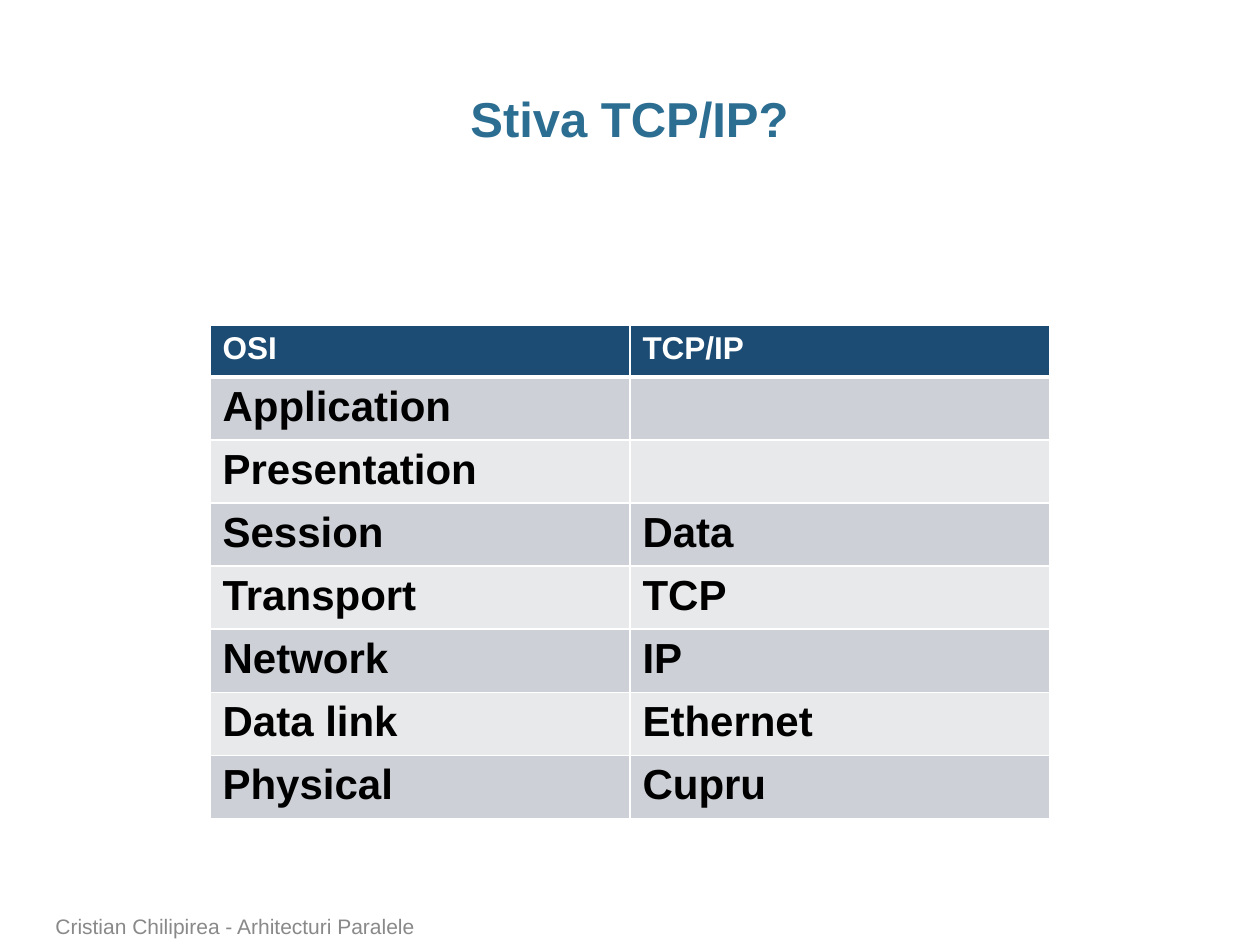
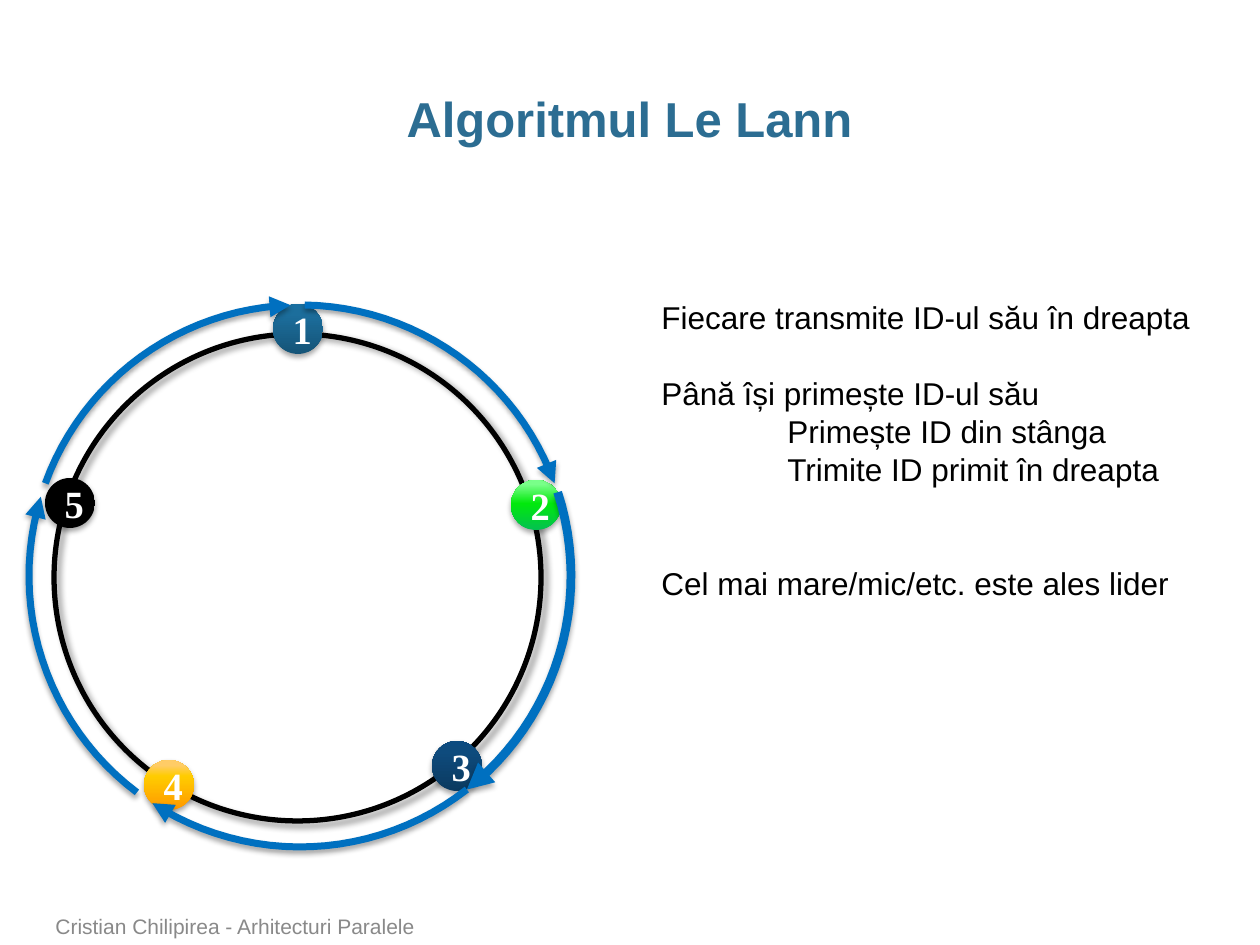
from math import cos, radians, sin

from lxml.etree import SubElement
from pptx import Presentation
from pptx.dml.color import RGBColor
from pptx.enum.shapes import MSO_SHAPE as SHAPE
from pptx.enum.text import MSO_ANCHOR as ANCHOR, MSO_AUTO_SIZE as AUTO, PP_ALIGN as ALIGN
from pptx.oxml.ns import qn
from pptx.util import Pt

PX = 914400 / 126
TITLE_ONLY = 5
COLORS = {
    "title": "2C6D92", "footer": "898989", "text": "000000", "white": "FFFFFF",
    "header": "1C4C74", "odd": "CDD0D6", "even": "E8E9EB",
    "ring": "000000", "arrow": "0070C0", "shadow": "000000",
}
FORMATS = {
    "title": dict(name="Arial", size=Pt(28), bold=True, color="title"),
    "footer": dict(name="Arial", size=Pt(12), color="footer"),
    "body": dict(name="Arial", size=Pt(18), color="text"),
    "header": dict(name="Arial", size=Pt(18), bold=True, color="white"),
    "cell": dict(name="Arial", size=Pt(24), bold=True, color="text"),
    "node": dict(name="Times New Roman", size=Pt(22), bold=True, color="white"),
}
# opacity %, blur pt, distance pt, direction in degrees
RING_SHADOW = (40, 4, 3, 45)
SOFT_SHADOW = (35, 3.1, 1.8, 90)

LAYERS = [
    ("OSI", "TCP/IP"),
    ("Application", ""),
    ("Presentation", ""),
    ("Session", "Data"),
    ("Transport", "TCP"),
    ("Network", "IP"),
    ("Data link", "Ethernet"),
    ("Physical", "Cupru"),
]
# label, left, top, gradient stops from bottom to top
NODES = [
    ("3", 432, 741, [(0, "0B3A60"), (80, "0E4B7D"), (100, "0C4B80")]),
    ("1", 273, 304, [(0, "155478"), (80, "1C6E9C"), (100, "196FA0")]),
    ("2", 511, 480, [(0, "03C150"), (53, "01E90C"), (91, "79FF89")]),
    ("4", 144, 760, [(0, "FF9900"), (68, "FFCC00"), (89, "FFCC66")]),
    ("5", 45, 478, [(0, "000000"), (100, "000000")]),
]
# start and end in degrees clockwise from the top, line width in points
HOPS = [(72, 142, 5), (1, 70, 4), (142, 213, 4), (217, 287, 4), (290, 358, 4)]
# text, indent in px, space before in points
STEPS = [
    ("Fiecare transmite ID-ul său în dreapta", 0, 0),
    ("Până își primește ID-ul său", 0, 21.7),
    ("Primește ID din stânga", 126, 0),
    ("Trimite ID primit în dreapta", 126, 0),
    ("Cel mai mare/mic/etc. este ales lider", 0, 43.4),
]


def emu(*lengths):
    return [round(n * PX) for n in lengths]


def rgb(key):
    return RGBColor.from_string(COLORS[key])


def set_font(font, style):
    for key, value in FORMATS[style].items():
        if key == "color":
            font.color.rgb = rgb(value)
        else:
            setattr(font, key, value)


def set_frame(tf, **values):
    for key, value in values.items():
        setattr(tf, key, value)


def add_color(parent, color):
    return SubElement(parent, qn("a:srgbClr"), val=color)


def add_shadow(sp, opacity, blur, distance, direction):
    sp.shadow.inherit = False
    effects = sp._element.spPr.find(qn("a:effectLst"))
    outer = SubElement(effects, qn("a:outerShdw"), blurRad=str(Pt(blur)), dist=str(Pt(distance)),
                       dir=str(direction * 60000), rotWithShape="0")
    SubElement(add_color(outer, COLORS["shadow"]), qn("a:alpha"), val=str(opacity * 1000))


def set_gradient(sp, stops):
    sp.fill.gradient()
    sp.fill.gradient_angle = 90
    gs_list = sp._element.spPr.find(qn("a:gradFill")).find(qn("a:gsLst"))
    for old in list(gs_list):
        gs_list.remove(old)
    for position, color in stops:
        add_color(SubElement(gs_list, qn("a:gs"), pos=str(position * 1000)), color)


def set_line(sp, color, width):
    sp.line.color.rgb = rgb(color)
    sp.line.width = Pt(width)


def add_title(slide, text):
    title = slide.shapes.title
    title.left, title.top, title.width, title.height = emu(43, 86, 1173, 63)
    tf = title.text_frame
    set_frame(tf, margin_left=0, margin_right=0, vertical_anchor=ANCHOR.TOP,
              auto_size=AUTO.NONE, word_wrap=True)
    p = tf.paragraphs[0]
    p.alignment, p.line_spacing = ALIGN.CENTER, 0.95
    r = p.add_run()
    r.text = text
    set_font(r.font, "title")


def add_footer(slide):
    tf = slide.shapes.add_textbox(*emu(43, 910, 929, 35)).text_frame
    set_frame(tf, word_wrap=True, vertical_anchor=ANCHOR.BOTTOM)
    r = tf.paragraphs[0].add_run()
    r.text = "Cristian Chilipirea - Arhitecturi Paralele"
    set_font(r.font, "footer")


def add_slide(prs, title):
    slide = prs.slides.add_slide(prs.slide_layouts[TITLE_ONLY])
    add_title(slide, title)
    add_footer(slide)
    return slide


def set_borders(cell, **widths):
    tc_pr = cell._tc.get_or_add_tcPr()
    for side in "LRTB":
        ln = SubElement(tc_pr, qn(f"a:ln{side}"), w=str(Pt(widths.get(side, 1))))
        add_color(SubElement(ln, qn("a:solidFill")), COLORS["white"])


def add_layer_table(slide, rows):
    row_height = 52
    frame = slide.shapes.add_table(len(rows), 2, *emu(210, 325, 840, row_height * len(rows)))
    for i, row in enumerate(rows):
        frame.table.rows[i].height = emu(row_height)[0]
        fill = "header" if i == 0 else "odd" if i % 2 else "even"
        heavy = {0: {"B": 3}, 1: {"T": 3}}.get(i, {})
        for j, text in enumerate(row):
            cell = frame.table.cell(i, j)
            set_borders(cell, **heavy)
            cell.fill.solid()
            cell.fill.fore_color.rgb = rgb(fill)
            cell.text = text
            set_font(cell.text_frame.paragraphs[0].font, "cell" if i else "header")
            for r in cell.text_frame.paragraphs[0].runs:
                set_font(r.font, "cell" if i else "header")


def add_ring(slide):
    sp = slide.shapes.add_shape(SHAPE.OVAL, *emu(54, 334, 487, 487))
    sp.fill.background()
    set_line(sp, "ring", 3)
    add_shadow(sp, *RING_SHADOW)


def add_node(slide, label, left, top, stops):
    sp = slide.shapes.add_shape(SHAPE.OVAL, *emu(left, top, 50, 50))
    set_gradient(sp, stops)
    sp.line.fill.background()
    add_shadow(sp, *SOFT_SHADOW)
    sp.text_frame.vertical_anchor = ANCHOR.MIDDLE
    p = sp.text_frame.paragraphs[0]
    p.alignment = ALIGN.CENTER
    r = p.add_run()
    r.text = label
    set_font(r.font, "node")


def add_hop(slide, start, end, width):
    """Draw an arc with an arrowhead around the ring, clockwise."""
    center_x, center_y, radius, steps = 300, 576, 271, 24
    angles = [radians(start + (end - start) * i / steps) for i in range(steps + 1)]
    points = [emu(center_x + radius * sin(a), center_y - radius * cos(a)) for a in angles]
    builder = slide.shapes.build_freeform(*points[0])
    builder.add_line_segments(points[1:], close=False)
    sp = builder.convert_to_shape()
    sp.fill.background()
    set_line(sp, "arrow", width)
    SubElement(sp.line._get_or_add_ln(), qn("a:tailEnd"), type="triangle")
    add_shadow(sp, *SOFT_SHADOW)


def add_steps(slide, steps):
    tf = slide.shapes.add_textbox(*emu(649, 292, 559, 318)).text_frame
    set_frame(tf, word_wrap=False, auto_size=AUTO.SHAPE_TO_FIT_TEXT)
    for i, (text, indent, space) in enumerate(steps):
        p = tf.add_paragraph() if i else tf.paragraphs[0]
        p.line_spacing = Pt(21.7)
        if indent:
            p._p.get_or_add_pPr().set("marL", str(emu(indent)[0]))
        if space:
            p.space_before = Pt(space)
        r = p.add_run()
        r.text = text
        set_font(r.font, "body")


def main():
    prs = Presentation()
    prs.slide_width, prs.slide_height = emu(1260, 945)

    add_layer_table(add_slide(prs, "Stiva TCP/IP?"), LAYERS)

    slide = add_slide(prs, "Algoritmul Le Lann")
    add_ring(slide)
    for node in NODES:
        add_node(slide, *node)
    for hop in HOPS:
        add_hop(slide, *hop)
    add_steps(slide, STEPS)

    prs.save("out.pptx")


if __name__ == "__main__":
    main()
